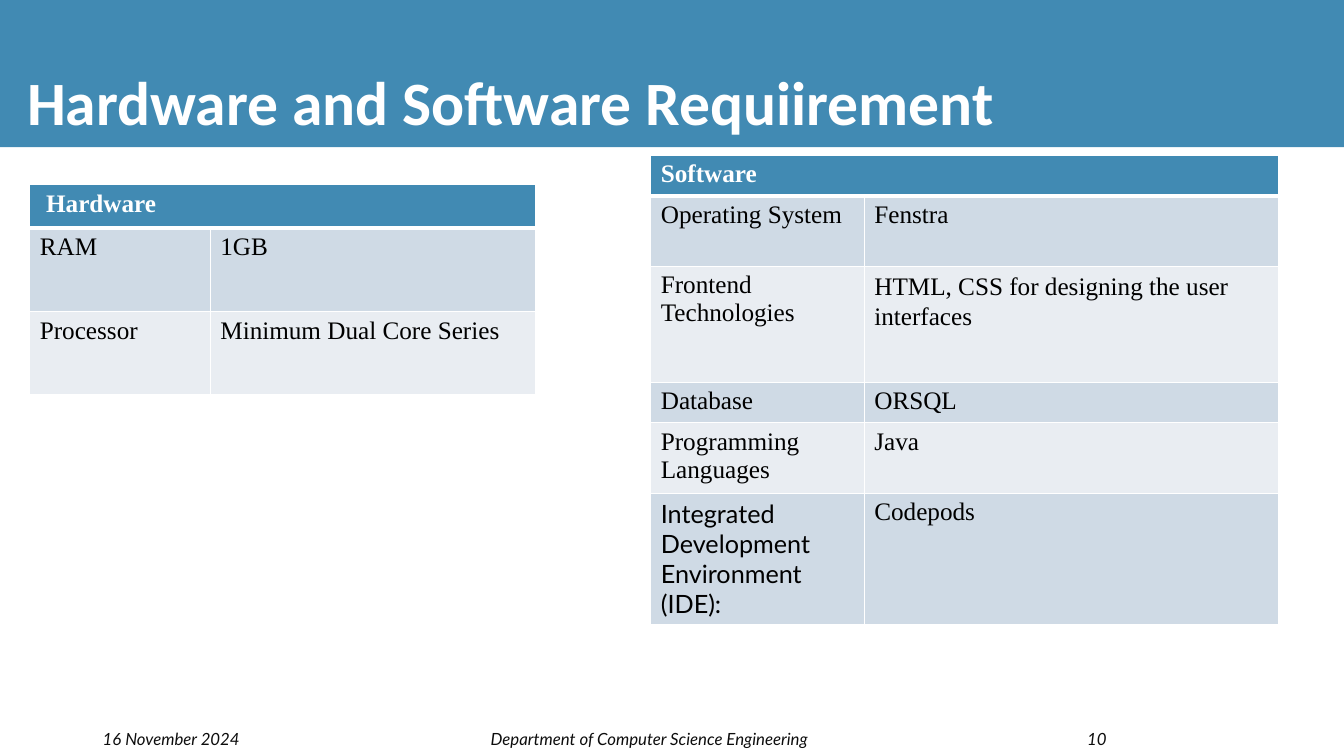
from lxml import etree
from pptx import Presentation
from pptx.dml.color import RGBColor
from pptx.enum.shapes import MSO_SHAPE
from pptx.enum.text import MSO_ANCHOR, MSO_AUTO_SIZE, PP_ALIGN
from pptx.oxml.ns import qn
from pptx.util import Cm, Pt

RECTANGLE = MSO_SHAPE.RECTANGLE
MIDDLE, BOTTOM = MSO_ANCHOR.MIDDLE, MSO_ANCHOR.BOTTOM
LEFT, CENTER, RIGHT = PP_ALIGN.LEFT, PP_ALIGN.CENTER, PP_ALIGN.RIGHT
NO_AUTOFIT = MSO_AUTO_SIZE.NONE

BLUE = RGBColor(0x41, 0x8A, 0xB3)
DARK_BAND = RGBColor(0xCF, 0xDA, 0xE5)
LIGHT_BAND = RGBColor(0xE9, 0xED, 0xF2)
WHITE = RGBColor(0xFF, 0xFF, 0xFF)
BLACK = RGBColor(0x00, 0x00, 0x00)
FOOTER_INK = RGBColor(0x0D, 0x0D, 0x0D)

TITLE_FONT, TABLE_FONT, FOOTER_FONT = "Calibri", "Times New Roman", "Lato"
SLIDE_WIDTH, SLIDE_HEIGHT = Cm(33.87), Cm(19.05)
TITLE_ONLY_LAYOUT = 5

HARDWARE = [("RAM", "1GB"), ("Processor", "Minimum Dual Core Series")]
IDE_LABEL = "Integrated Development Environment (IDE):"
FRONTEND = "HTML, CSS for designing the user interfaces"
SOFTWARE = [
    ("Operating System", "Fenstra"),
    ("Frontend Technologies", FRONTEND),
    ("Database", "ORSQL"),
    ("Programming Languages", "Java"),
    (IDE_LABEL, "Codepods"),
]


def add_run(paragraph, text, font, size, color, bold=False, italic=False):
    run = paragraph.add_run()
    run.text = text
    run.font.name = font
    run.font.size = Pt(size)
    run.font.color.rgb = color
    run.font.bold = bold
    run.font.italic = italic


def add_title(slide, left, top, width, height):
    # Full-width band, placed behind the title placeholder
    band = slide.shapes.add_shape(RECTANGLE, left, top, width, height)
    band.shadow.inherit = False
    band.fill.solid()
    band.fill.fore_color.rgb = BLUE
    band.line.fill.background()
    title = slide.shapes.title
    title.element.addprevious(band.element)

    # Title text
    title.left, title.top = left + Cm(0.43), top
    title.width, title.height = width - Cm(0.86), height - Cm(0.1)
    frame = title.text_frame
    frame.auto_size = NO_AUTOFIT
    frame.word_wrap = True
    frame.vertical_anchor = BOTTOM
    paragraph = frame.paragraphs[0]
    paragraph.alignment = LEFT
    add_run(paragraph, "Hardware and Software Requiirement",
            TITLE_FONT, 44, WHITE, bold=True)


def set_borders(cell, top_points, bottom_points):
    properties = cell._tc.get_or_add_tcPr()
    borders = [("a:lnL", 1), ("a:lnR", 1),
               ("a:lnT", top_points), ("a:lnB", bottom_points)]
    for position, (tag, points) in enumerate(borders):
        line = etree.Element(qn(tag), w=str(Pt(points)))
        fill = etree.SubElement(line, qn("a:solidFill"))
        etree.SubElement(fill, qn("a:srgbClr"), val=str(WHITE))
        properties.insert(position, line)


def add_requirements(slide, left, top, column_widths, row_heights,
                     heading, entries):
    frame = slide.shapes.add_table(
        len(row_heights), len(column_widths), left, top,
        sum(column_widths), sum(row_heights))
    table = frame.table
    for column, width in zip(table.columns, column_widths):
        column.width = width
    for row, height in zip(table.rows, row_heights):
        row.height = height

    # Heading row spans both columns; the rows below alternate in colour
    table.cell(0, 0).merge(table.cell(0, 1))
    for row_index, texts in enumerate([(heading, ""), *entries]):
        is_heading = row_index == 0
        band = DARK_BAND if row_index % 2 else LIGHT_BAND
        for column_index, text in enumerate(texts):
            cell = table.cell(row_index, column_index)
            cell.fill.solid()
            cell.fill.fore_color.rgb = BLUE if is_heading else band
            set_borders(cell, 3 if row_index == 1 else 1,
                        3 if is_heading else 1)
            if not text:
                continue
            paragraph = cell.text_frame.paragraphs[0]
            if text == FRONTEND:
                paragraph.line_spacing = 1.07
                paragraph.space_after = Pt(8)
            font = FOOTER_FONT if text == IDE_LABEL else TABLE_FONT
            add_run(paragraph, text, font, 18,
                    WHITE if is_heading else BLACK, bold=is_heading)


def add_footer(slide, left, top, width, height):
    # Offset from the left edge, width, alignment and text of each part
    parts = [
        (Cm(0), Cm(8.89), LEFT, "16 November 2024"),
        (Cm(9.58), Cm(8.89), CENTER, "Department of Computer Science Engineering"),
        (width - Cm(3.81), Cm(3.81), RIGHT, "10"),
    ]
    for offset, part_width, alignment, text in parts:
        box = slide.shapes.add_textbox(left + offset, top, part_width, height)
        frame = box.text_frame
        frame.word_wrap = True
        frame.vertical_anchor = MIDDLE
        paragraph = frame.paragraphs[0]
        paragraph.alignment = alignment
        add_run(paragraph, text, FOOTER_FONT, 12, FOOTER_INK, italic=True)


def main():
    presentation = Presentation()
    presentation.slide_width = SLIDE_WIDTH
    presentation.slide_height = SLIDE_HEIGHT
    layout = presentation.slide_layouts[TITLE_ONLY_LAYOUT]
    slide = presentation.slides.add_slide(layout)

    add_title(slide, 0, 0, SLIDE_WIDTH, Cm(3.71))
    add_requirements(slide, Cm(0.75), Cm(4.65), [Cm(4.55), Cm(8.2)],
                     [Cm(1.1), Cm(2.1), Cm(2.1)], " Hardware", HARDWARE)
    add_requirements(slide, Cm(16.4), Cm(3.91), [Cm(5.38), Cm(10.43)],
                     [Cm(1.02), Cm(1.78), Cm(2.92), Cm(1.02), Cm(1.78), Cm(3.3)],
                     "Software", SOFTWARE)
    add_footer(slide, Cm(2.34), Cm(18.24), Cm(25.8), Cm(0.76))

    presentation.save("out.pptx")


if __name__ == "__main__":
    main()
